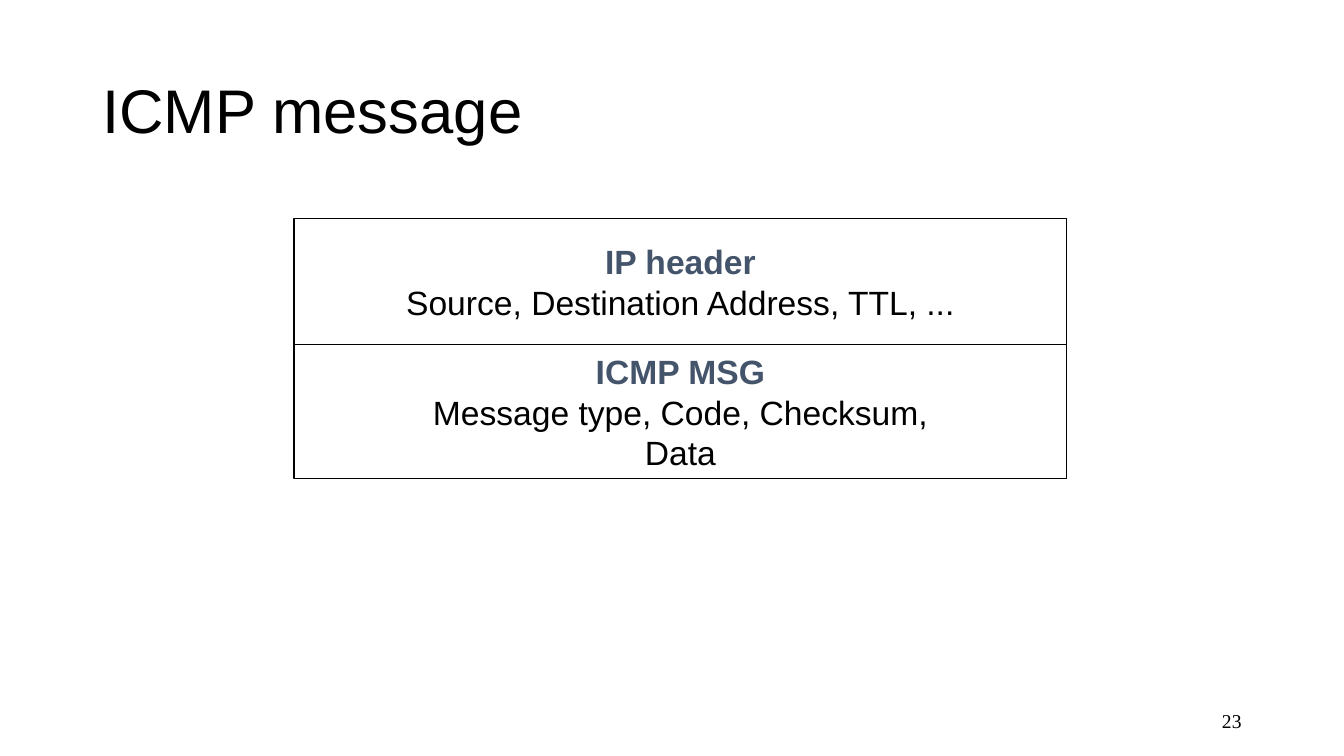
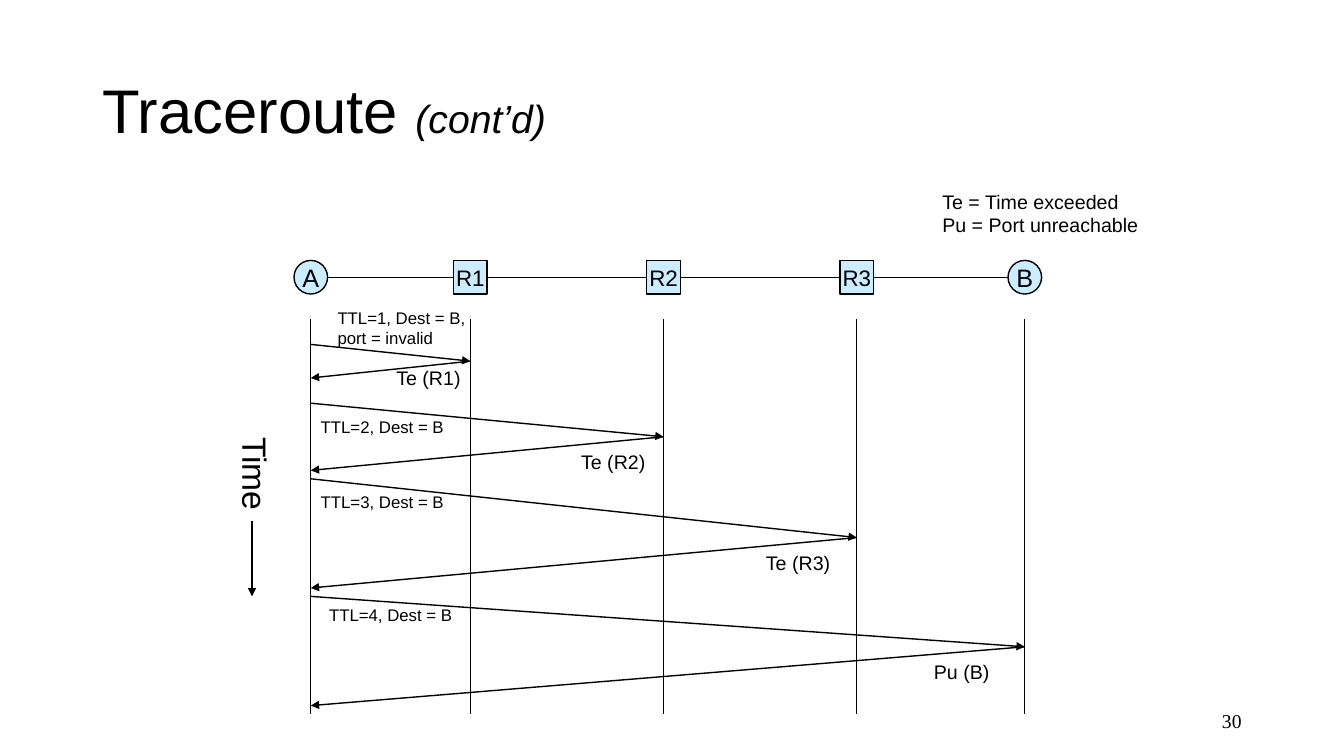
from dataclasses import dataclass
from typing import NamedTuple, Optional

from lxml.etree import SubElement
from pptx import Presentation
from pptx.dml.color import RGBColor
from pptx.enum.shapes import MSO_CONNECTOR as Connector, MSO_SHAPE as Shape
from pptx.enum.text import MSO_ANCHOR as Anchor, MSO_AUTO_SIZE as AutoSize, PP_ALIGN as Align
from pptx.oxml.ns import qn
from pptx.util import Inches, Pt

COLUMNS, ROWS = 160, 90
CELL = Inches(1) / 12


@dataclass(frozen=True)
class Theme:
    sans: str = "Arial"
    serif: str = "Times New Roman"
    ink: RGBColor = RGBColor(0, 0, 0)
    paper: RGBColor = RGBColor(0xFF, 0xFF, 0xFF)
    heading: RGBColor = RGBColor(0x44, 0x54, 0x6A)
    node: RGBColor = RGBColor(0xCC, 0xEC, 0xFF)
    title_size: int = 44
    suffix_size: int = 28
    large_size: int = 24
    host_size: int = 18
    router_size: int = 16
    reply_size: int = 14
    request_size: int = 12
    line_width: int = 1


THEME = Theme()


class Box(NamedTuple):
    """A rectangle in grid cells."""
    column: float
    row: float
    width: float
    height: float


class Point(NamedTuple):
    column: float
    row: float


class Style(NamedTuple):
    size: int
    color: RGBColor = THEME.ink
    font: str = THEME.sans
    bold: bool = False
    align: Align = Align.LEFT


class Line(NamedTuple):
    text: str
    style: Style


class MessagePart(NamedTuple):
    heading: str
    fields: list[str]
    row: float
    height: float


class Node(NamedTuple):
    name: str
    column: float
    is_host: bool = False


class Probe(NamedTuple):
    """A request from A to a target node and the reply to it."""
    target: Node
    sent: float
    reached: float
    returned: float
    request: list[str]
    request_box: Box
    reply: str
    reply_box: Box


TITLE = Box(11, 4.8, 138, 17.4)
PAGE_NUMBER = Box(113, 83.4, 36, 4.8)

MESSAGE_COLUMN, MESSAGE_WIDTH = 35, 92
MESSAGE_PARTS = [
    MessagePart("IP header", ["Source, Destination Address, TTL, ..."], 26, 15),
    MessagePart("ICMP MSG", ["Message type, Code, Checksum,", "Data"], 41, 16),
]

NODE_SIZE, NODE_ROW = 4, 33
TIMELINE_TOP, TIMELINE_BOTTOM = 38, 85
SOURCE = Node("A", 37, True)
R1, R2, R3 = Node("R1", 56), Node("R2", 79), Node("R3", 102)
TARGET = Node("B", 122, True)
NODES = [SOURCE, R1, R2, R3, TARGET]
PROBES = [
    Probe(R1, 41, 43, 45, ["TTL=1, Dest = B,", "port = invalid"], Box(39, 36, 18.4, 6),
          "Te (R1)", Box(46, 43, 10.3, 4)),
    Probe(R2, 48, 52, 56, ["TTL=2, Dest = B"], Box(37, 49, 17.3, 3.6),
          "Te (R2)", Box(68, 53, 10.3, 4)),
    Probe(R3, 57, 64, 70, ["TTL=3, Dest = B"], Box(37, 58, 17.3, 3.6),
          "Te (R3)", Box(90, 65, 10.3, 4)),
    Probe(TARGET, 71, 77, 84, ["TTL=4, Dest = B"], Box(38, 71.4, 17.3, 3.6),
          "Pu (B)", Box(110, 78, 9, 4)),
]


def cells(count: float) -> int:
    return round(count * CELL)


def format_paragraph(paragraph, style: Style) -> None:
    paragraph.alignment = style.align
    font = paragraph.font
    font.name, font.size, font.bold = style.font, Pt(style.size), style.bold
    font.color.rgb = style.color


def write(frame, lines: list[Line]) -> None:
    for index, line in enumerate(lines):
        paragraph = frame.add_paragraph() if index else frame.paragraphs[0]
        paragraph.add_run().text = line.text
        format_paragraph(paragraph, line.style)


def add_text(slide, box: Box, texts: list[str], style: Style):
    label = slide.shapes.add_textbox(*map(cells, box))
    frame = label.text_frame
    frame.word_wrap = False
    frame.auto_size = AutoSize.SHAPE_TO_FIT_TEXT
    write(frame, [Line(text, style) for text in texts])
    return label


def add_block(slide, kind: Shape, box: Box, fill: RGBColor, lines: list[Line]) -> None:
    """Add an outlined shape with its text in the middle."""
    block = slide.shapes.add_shape(kind, *map(cells, box))
    block.shadow.inherit = False
    block.fill.solid()
    block.fill.fore_color.rgb = fill
    block.line.color.rgb = THEME.ink
    block.line.width = Pt(THEME.line_width)
    frame = block.text_frame
    frame.word_wrap = False
    frame.vertical_anchor = Anchor.MIDDLE
    frame.margin_left = frame.margin_right = frame.margin_top = frame.margin_bottom = 0
    write(frame, lines)


def add_line(slide, start: Point, end: Point, arrow: bool = False) -> None:
    connector = slide.shapes.add_connector(
        Connector.STRAIGHT, *map(cells, (*start, *end)))
    connector.line.color.rgb = THEME.ink
    connector.line.width = Pt(THEME.line_width)
    if arrow:
        SubElement(connector.line._get_or_add_ln(), qn("a:tailEnd"), type="triangle")
    SubElement(connector._element.spPr, qn("a:effectLst"))


def add_titled_slide(deck, title: str, page: int, suffix: Optional[str] = None):
    slide = deck.slides.add_slide(deck.slide_layouts[5])
    heading = slide.shapes.title
    heading.left, heading.top, heading.width, heading.height = map(cells, TITLE)
    frame = heading.text_frame
    frame.word_wrap = True
    frame.auto_size = AutoSize.NONE
    frame.vertical_anchor = Anchor.MIDDLE
    write(frame, [Line(title, Style(THEME.title_size))])
    paragraph = frame.paragraphs[0]
    paragraph.line_spacing = 0.9
    if suffix:
        run = paragraph.add_run()
        run.text = suffix
        run.font.size, run.font.italic = Pt(THEME.suffix_size), True

    number = add_text(slide, PAGE_NUMBER, [str(page)],
                      Style(THEME.reply_size, font=THEME.serif, align=Align.RIGHT))
    number.text_frame.word_wrap = True
    number.text_frame.auto_size = AutoSize.NONE
    number.text_frame.vertical_anchor = Anchor.MIDDLE
    return slide


def build_message_slide(deck) -> None:
    slide = add_titled_slide(deck, "ICMP message", 23)
    heading_style = Style(THEME.large_size, THEME.heading, bold=True, align=Align.CENTER)
    field_style = Style(THEME.large_size, align=Align.CENTER)
    for part in MESSAGE_PARTS:
        lines = [Line(part.heading, heading_style)]
        lines += [Line(field, field_style) for field in part.fields]
        add_block(slide, Shape.RECTANGLE,
                  Box(MESSAGE_COLUMN, part.row, MESSAGE_WIDTH, part.height),
                  THEME.paper, lines)


def add_node(slide, node: Node) -> None:
    """Add a node and the timeline below it."""
    kind = Shape.OVAL if node.is_host else Shape.RECTANGLE
    size = THEME.host_size if node.is_host else THEME.router_size
    half = NODE_SIZE / 2
    add_block(slide, kind,
              Box(node.column - half, NODE_ROW - half, NODE_SIZE, NODE_SIZE),
              THEME.node, [Line(node.name, Style(size, align=Align.CENTER))])
    add_line(slide, Point(node.column, TIMELINE_TOP), Point(node.column, TIMELINE_BOTTOM))


def add_probe(slide, probe: Probe) -> None:
    turn = Point(probe.target.column, probe.reached)
    add_line(slide, Point(SOURCE.column, probe.sent), turn, arrow=True)
    add_line(slide, turn, Point(SOURCE.column, probe.returned), arrow=True)
    add_text(slide, probe.request_box, probe.request, Style(THEME.request_size))
    add_text(slide, probe.reply_box, [probe.reply], Style(THEME.reply_size))


def build_traceroute_slide(deck) -> None:
    slide = add_titled_slide(deck, "Traceroute ", 30, "(cont’d)")
    add_line(slide, Point(SOURCE.column, NODE_ROW), Point(TARGET.column, NODE_ROW))
    for node in NODES:
        add_node(slide, node)
    for probe in PROBES:
        add_probe(slide, probe)

    time_label = add_text(slide, Box(24.8, 53.5, 11.3, 6), ["Time"], Style(THEME.large_size))
    time_label.rotation = 90
    add_line(slide, Point(30, 62), Point(30, 71), arrow=True)
    add_text(slide, Box(111, 22, 25.8, 6.8),
             ["Te = Time exceeded", "Pu = Port unreachable"], Style(THEME.reply_size))


def main() -> None:
    deck = Presentation()
    deck.slide_width, deck.slide_height = cells(COLUMNS), cells(ROWS)
    build_message_slide(deck)
    build_traceroute_slide(deck)
    deck.save("out.pptx")


if __name__ == "__main__":
    main()
